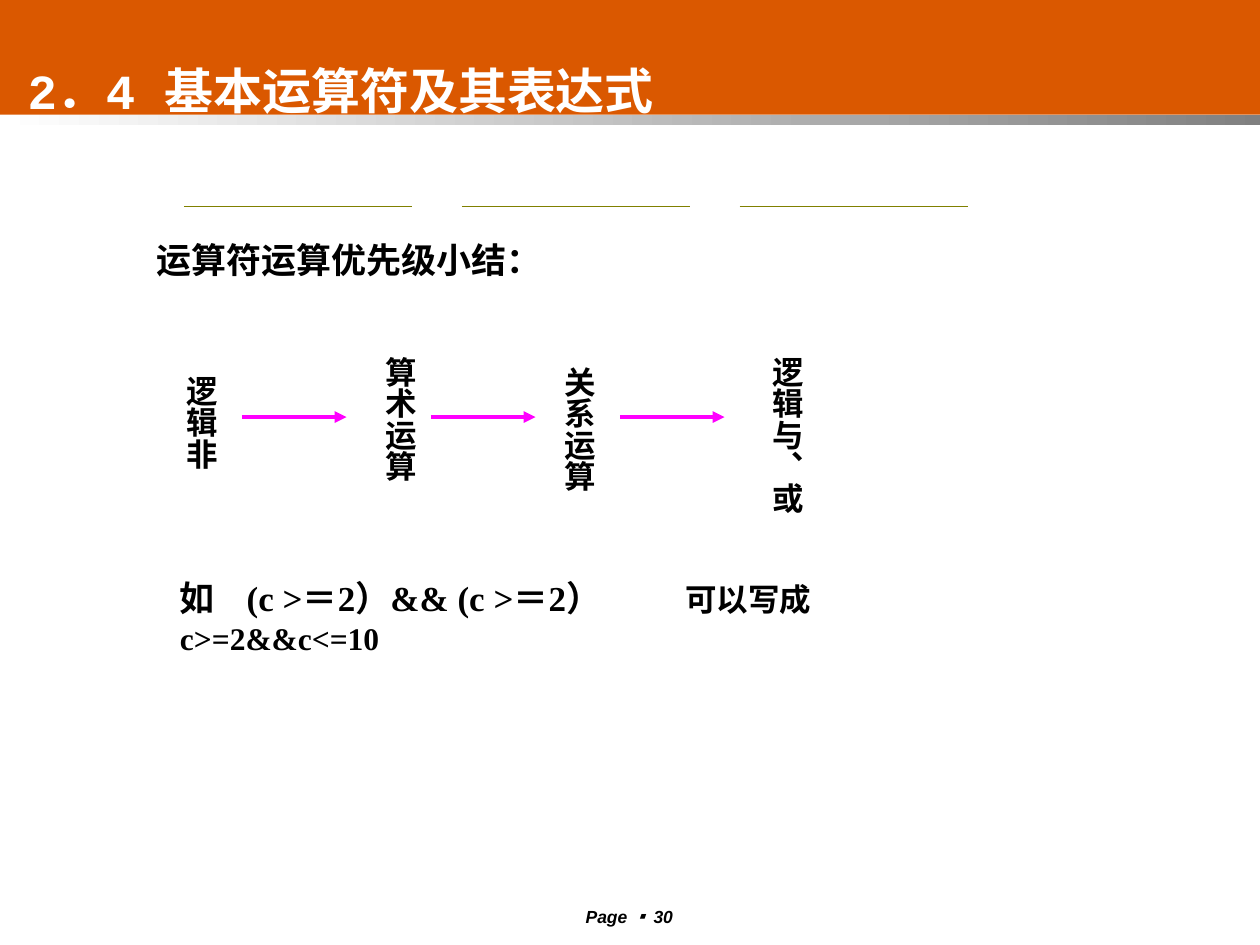
import lxml.etree
import pptx
import pptx.dml.color
import pptx.enum.shapes
import pptx.enum.text
import pptx.oxml.ns
import pptx.util

ORANGE = pptx.dml.color.RGBColor(0xDA, 0x58, 0x00)
GREY = pptx.dml.color.RGBColor(0x80, 0x80, 0x80)
OLIVE = pptx.dml.color.RGBColor(0x80, 0x80, 0x00)
MAGENTA = pptx.dml.color.RGBColor(0xFF, 0x00, 0xFF)
WHITE = pptx.dml.color.RGBColor(0xFF, 0xFF, 0xFF)
BLACK = pptx.dml.color.RGBColor(0x00, 0x00, 0x00)

deck = pptx.Presentation()
deck.slide_width = pptx.util.Inches(10)
deck.slide_height = pptx.util.Inches(7.5)
page = deck.slides.add_slide(deck.slide_layouts[6])

# The page is a grid of 100 columns and 75 rows of square cells.
CELL = deck.slide_width // 100
qn = pptx.oxml.ns.qn


def add_line(left, top, length, color, weight):
    """Draw a horizontal line without a shadow; left, top and length in cells."""
    line = page.shapes.add_connector(
        pptx.enum.shapes.MSO_CONNECTOR.STRAIGHT,
        int(left * CELL), int(top * CELL), int((left + length) * CELL), int(top * CELL))
    line.line.color.rgb = color
    line.line.width = pptx.util.Pt(weight)
    lxml.etree.SubElement(line._element.spPr, qn("a:effectLst"))
    return line


def add_text(area, spans, font, size, color=BLACK, before=0, after=0, vertical=False, grow=True, tabs=()):
    """Add a bold one-paragraph box; area and tabs are in cells."""
    box = page.shapes.add_textbox(*(int(length * CELL) for length in area))
    frame = box.text_frame
    frame.word_wrap = True
    if grow:
        frame.auto_size = pptx.enum.text.MSO_AUTO_SIZE.SHAPE_TO_FIT_TEXT
    if vertical:
        frame._txBody.bodyPr.set("vert", "eaVert")
        frame.margin_left = frame.margin_right = pptx.util.Inches(0.05)
        frame.margin_top = frame.margin_bottom = pptx.util.Inches(0.1)
    para = frame.paragraphs[0]
    para.space_before = pptx.util.Pt(before)
    para.space_after = pptx.util.Pt(after)
    if tabs:
        stops = lxml.etree.SubElement(para._p.get_or_add_pPr(), qn("a:tabLst"))
        for stop in tabs:
            lxml.etree.SubElement(stops, qn("a:tab"), pos=str(int(stop * CELL)), algn="l")
    para.font.name = font
    para.font.size = pptx.util.Pt(size)
    para.font.bold = True
    para.font.color.rgb = color
    for text in spans:
        para.add_run().text = text
    return para


# Header band with a fading strip below it
for top, height in ((0, 9.1), (9.1, 0.8)):
    band = page.shapes.add_shape(
        pptx.enum.shapes.MSO_SHAPE.RECTANGLE,
        0, int(top * CELL), int(100.4 * CELL), int(height * CELL))
    band.shadow.inherit = False
    band.line.fill.background()
    if top == 0:
        band.fill.solid()
        band.fill.fore_color.rgb = ORANGE
    else:
        band.fill.gradient()
        band.fill.gradient_angle = 180
        for stop, color in zip(band.fill.gradient_stops, (GREY, WHITE)):
            stop.color.rgb = color

footer = add_text((42.1, 71.4, 15.7, 2.2), ["Page ", "▪ ", "30"], "Arial", 10, grow=False)
footer.alignment = pptx.enum.text.PP_ALIGN.CENTER
footer.font.italic = True
footer.runs[1].font.name = "Noto Sans CJK JP"

title = add_text((1.2, 3.6, 55.1, 7.1), ["2．4 基本运算符及其表达式"], "Courier New", 28,
                 WHITE, before=24.9, after=24.9, grow=False)
title._parent.vertical_anchor = pptx.enum.text.MSO_ANCHOR.MIDDLE

for column in range(3):
    add_line(14.6 + 22.05 * column, 16.4, 18.1, OLIVE, 1)
    arrow = add_line(19.2 + 15 * column, 33.1, 8.3, MAGENTA, 2.25)
    lxml.etree.SubElement(arrow.line._get_or_add_ln(), qn("a:tailEnd"), type="triangle")

add_text((11.4, 18.4, 37.8, 4.4), ["运算符运算优先级小结："], "Times New Roman", 20, before=12.5, after=24.9)

# Operator groups from highest to lowest priority
for name, left, top, height in (
        ("逻辑非", 13, 28.8, 10.2),
        ("算术运算", 28.8, 27.3, 16.5),
        ("关系运算", 43, 28.1, 15.7),
        ("逻辑与、或", 59.5, 27.3, 15.7)):
    add_text((left, top, 5, height), [name], "Arial", 18, before=11.2, vertical=True)

example = add_text((13.3, 45.3, 64.8, 7.4),
                   ["如\t(c >＝2）&& (c >＝2）\t", "可以写成 c>=2&&c<=10"],
                   "Times New Roman", 20, before=24.9, after=24.9, tabs=(5.3, 40.1))
example.runs[1].font.size = pptx.util.Pt(18)

deck.save("out.pptx")
